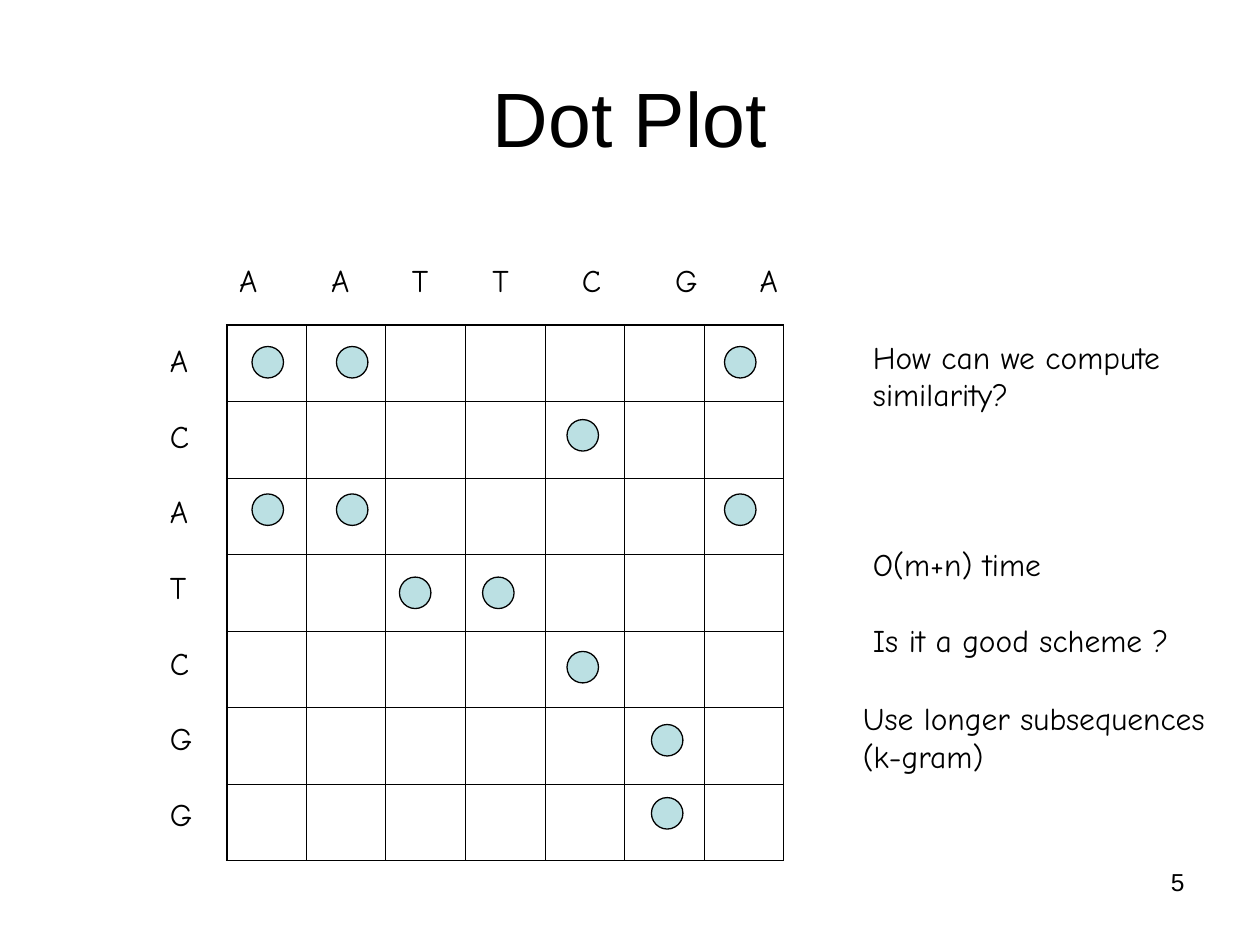
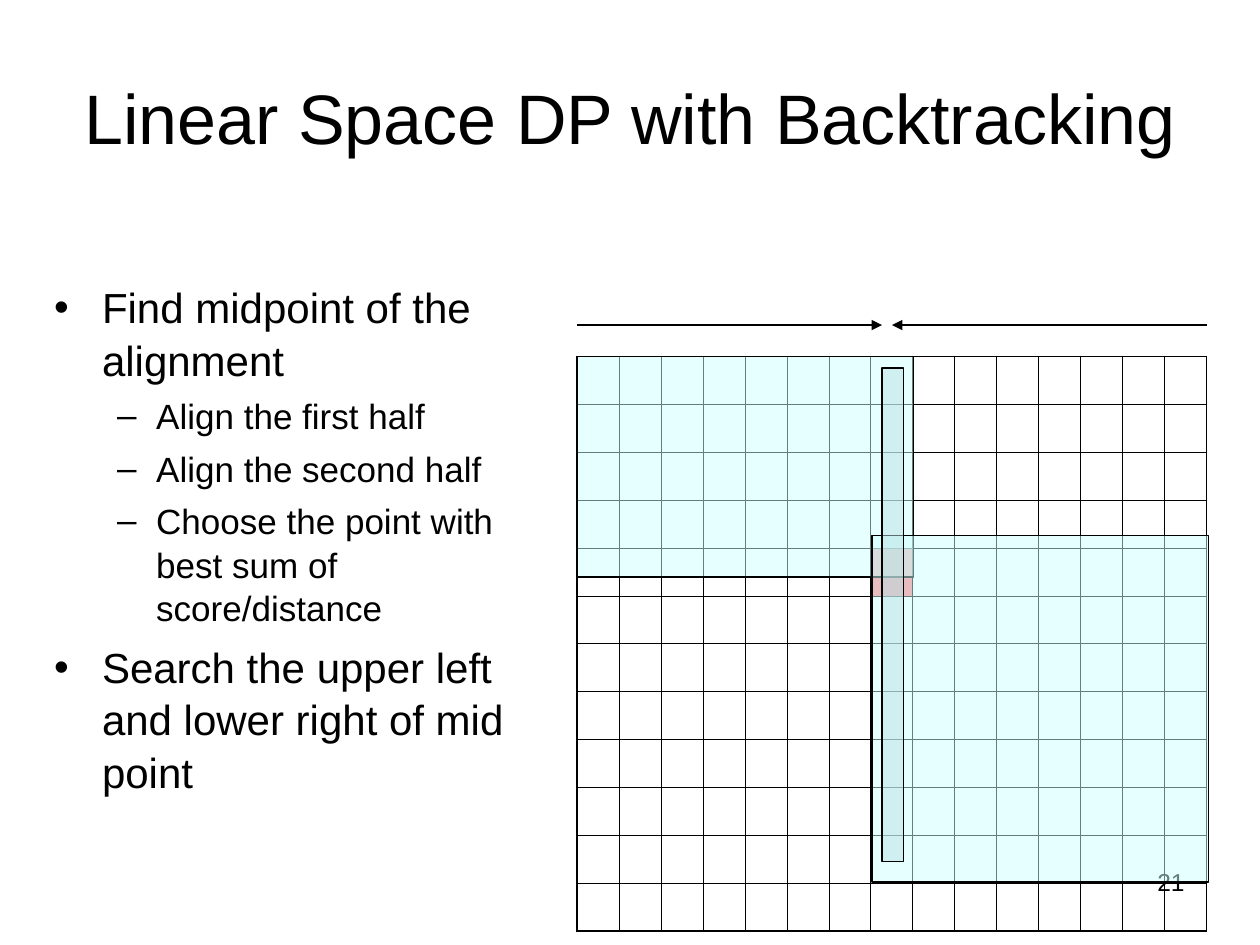
from dataclasses import dataclass

import pptx
import pptx.dml.color
import pptx.enum.shapes
import pptx.enum.text
import pptx.oxml
import pptx.oxml.ns
import pptx.util
from lxml import etree

Inches, Pt = pptx.util.Inches, pptx.util.Pt
qn = pptx.oxml.ns.qn
SHAPE = pptx.enum.shapes.MSO_SHAPE
ALIGN = pptx.enum.text.PP_ALIGN
ANCHOR = pptx.enum.text.MSO_ANCHOR
LEFT, CENTER, RIGHT = ALIGN.LEFT, ALIGN.CENTER, ALIGN.RIGHT


@dataclass(frozen=True)
class Theme:
    ink: str = "000000"
    dot: str = "BBE0E3"
    half: str = "CCFFFF"
    midpoint: str = "FF7C80"
    sans: str = "Arial"
    hand: str = "Comic Neue"
    title: float = 44
    long_title: float = 40
    note: float = 18
    number: float = 14
    levels: tuple = (24, 20)
    line: float = 0.75
    grid_outer: float = 1.08
    grid_inner: float = 0.45
    alpha: int = 49


T = Theme()
# Per list level: bullet sign, left margin, hanging indent, space before
BULLETS = (("•", 0.38, 0.38, 6), ("–", 0.81, 0.31, 5))
NOTE_GAP = 21.6  # points, one line of note text


def rgb(color):
    return pptx.dml.color.RGBColor.from_string(color)


def box(left, top, width, height):
    return [Inches(v) for v in (left, top, width, height)]


# Text
def write(p, text, size=T.note, font=T.hand, color=T.ink, align=LEFT, before=0):
    p.alignment = align
    p.space_before = Pt(before)
    r = p.add_run()
    r.text = text
    r.font.size = Pt(size)
    r.font.name = font
    r.font.color.rgb = rgb(color)


def add_paragraphs(tf, lines, gap=0, **fmt):
    for i, line in enumerate(lines):
        p = tf.add_paragraph() if i else tf.paragraphs[0]
        write(p, line, before=gap if i else 0, **fmt)


def add_text(s, at, *lines, wrap=True, **fmt):
    tf = s.shapes.add_textbox(*box(*at)).text_frame
    tf.word_wrap = wrap
    add_paragraphs(tf, lines, **fmt)
    return tf


def add_tabs(p, stops):
    tabs = etree.SubElement(p._p.get_or_add_pPr(), qn("a:tabLst"))
    for stop in stops:
        etree.SubElement(tabs, qn("a:tab"), pos=str(Inches(stop)), algn="l")


def place(ph, at):
    ph.left, ph.top, ph.width, ph.height = box(*at)
    ph.text_frame.auto_size = pptx.enum.text.MSO_AUTO_SIZE.NONE
    return ph.text_frame


def add_slide(prs, layout, title, number, size=T.title):
    s = prs.slides.add_slide(prs.slide_layouts[layout])
    tf = place(s.shapes.title, (0.5, 0.3, 9, 1.25))
    tf.vertical_anchor = ANCHOR.MIDDLE
    add_paragraphs(tf, [title], size=size, font=T.sans, align=CENTER)
    add_text(s, (7.17, 6.83, 2.33, 0.52), str(number),
             size=T.number, font=T.sans, align=RIGHT)
    return s


def add_list(ph, at, items):
    tf = place(ph, at)
    for i, (level, text) in enumerate(items):
        p = tf.paragraphs[0] if i == 0 else tf.add_paragraph()
        sign, margin, hang, before = BULLETS[level]
        p.level = level
        pPr = p._p.get_or_add_pPr()
        pPr.set("marL", str(Inches(margin)))
        pPr.set("indent", str(-Inches(hang)))
        color = etree.SubElement(pPr, qn("a:buClr"))
        etree.SubElement(color, qn("a:srgbClr"), val=T.ink)
        etree.SubElement(pPr, qn("a:buChar"), char=sign)
        p.line_spacing = 1.04
        write(p, text, size=T.levels[level], font=T.sans,
              before=before if i else 0)


# Shapes and lines
def add_figure(shapes, kind, at, fill, alpha=None):
    sp = shapes.add_shape(kind, *box(*at))
    sp.shadow.inherit = False
    sp.fill.solid()
    sp.fill.fore_color.rgb = rgb(fill)
    if alpha:
        color = sp._element.spPr.find(qn("a:solidFill")).find(qn("a:srgbClr"))
        etree.SubElement(color, qn("a:alpha"), val=str(alpha * 1000))
    sp.line.color.rgb = rgb(T.ink)
    sp.line.width = Pt(T.line)


def add_arrow(s, x1, x2, y):
    straight = pptx.enum.shapes.MSO_CONNECTOR.STRAIGHT
    c = s.shapes.add_connector(straight, *box(x1, y, x2, y))
    c.line.color.rgb = rgb(T.ink)
    c.line.width = Pt(T.line)
    spPr = c._element.spPr
    etree.SubElement(spPr.find(qn("a:ln")), qn("a:tailEnd"), type="triangle")
    etree.SubElement(spPr, qn("a:effectLst"))


# Grids
def set_borders(cell, outer):
    tcPr = cell._tc.get_or_add_tcPr()
    for i, side in enumerate("LRTB"):
        width = T.grid_outer if side in outer else T.grid_inner
        ln = etree.Element(qn(f"a:ln{side}"), w=str(Pt(width)))
        fill = etree.SubElement(ln, qn("a:solidFill"))
        etree.SubElement(fill, qn("a:srgbClr"), val=T.ink)
        tcPr.insert(i, ln)


def add_grid(s, at, rows, cols, marked=None):
    tbl = s.shapes.add_table(rows, cols, *box(*at)).table
    tbl.first_row = tbl.horz_banding = False
    for column in tbl.columns:
        column.width = Inches(at[2] / cols)
    for row in tbl.rows:
        row.height = Inches(at[3] / rows)
    for i in range(rows):
        for j in range(cols):
            cell = tbl.cell(i, j)
            cell.margin_top = cell.margin_bottom = 0
            if (i, j) == marked:
                cell.fill.solid()
                cell.fill.fore_color.rgb = rgb(T.midpoint)
            else:
                cell.fill.background()
            edges = {"L": j == 0, "R": j == cols - 1,
                     "T": i == 0, "B": i == rows - 1}
            set_borders(cell, [side for side, edge in edges.items() if edge])


# Slides
def dot_plot(prs):
    s = add_slide(prs, 5, "Dot Plot", 5)
    across, down = "AATTCGA", "ACATCGG"

    # Sequences along the top and left of the grid
    tf = add_text(s, (1.8, 2.02, 4.57, 0.4), "\t".join(across), wrap=False)
    add_tabs(tf.paragraphs[0], (0.73, 1.37, 2.01, 2.72, 3.46, 4.13))
    add_grid(s, (1.8, 2.58, 4.42, 4.25), len(down), len(across))
    add_text(s, (1.25, 2.66, 0.38, 4), *down, gap=NOTE_GAP, wrap=False)

    # A dot wherever the letters match
    dot_lefts = (2, 2.67, 3.17, 3.83, 4.5, 5.17, 5.75)
    dot_tops = (2.75, 3.33, 3.92, 4.58, 5.17, 5.75, 6.33)
    dots = s.shapes.add_group_shape().shapes
    for row_letter, top in zip(down, dot_tops):
        for column_letter, left in zip(across, dot_lefts):
            if row_letter == column_letter:
                add_figure(dots, SHAPE.OVAL, (left, top, 0.25, 0.25), T.dot)

    # Questions beside the grid
    add_text(s, (6.83, 2.63, 2.83, 0.7), "How can we compute similarity?")
    add_text(s, (6.83, 4.28, 2.83, 1), "O(m+n) time", "Is it a good scheme ?",
             gap=NOTE_GAP)
    add_text(s, (6.75, 5.5, 3, 0.7), "Use longer subsequences (k-gram)")


def linear_space(prs):
    s = add_slide(prs, 1, "Linear Space DP with Backtracking", 21,
                  size=T.long_title)
    add_list(s.placeholders[1], (0.33, 2.17, 4.08, 4.5), (
        (0, "Find midpoint of the alignment"),
        (1, "Align the first half"),
        (1, "Align the second half"),
        (1, "Choose the point with best sum of score/distance"),
        (0, "Search the upper left and lower right of mid point"),
    ))

    # Alignment matrix with the midpoint cell, and the two search directions
    add_grid(s, (4.58, 2.83, 5, 4.56), 12, 15, marked=(4, 7))
    add_arrow(s, 4.58, 7, 2.58)
    add_arrow(s, 9.58, 7.08, 2.58)

    # Upper left half, lower right half, middle column
    for at, fill in (((4.58, 2.83, 2.67, 1.75), T.half),
                     ((6.92, 4.25, 2.67, 2.75), T.half),
                     ((7, 2.92, 0.17, 3.92), T.dot)):
        add_figure(s.shapes, SHAPE.RECTANGLE, at, fill, alpha=T.alpha)


def main():
    prs = pptx.Presentation()
    prs.slide_width, prs.slide_height = Inches(10), Inches(7.5)
    dot_plot(prs)
    linear_space(prs)
    prs.save("out.pptx")


if __name__ == "__main__":
    main()
